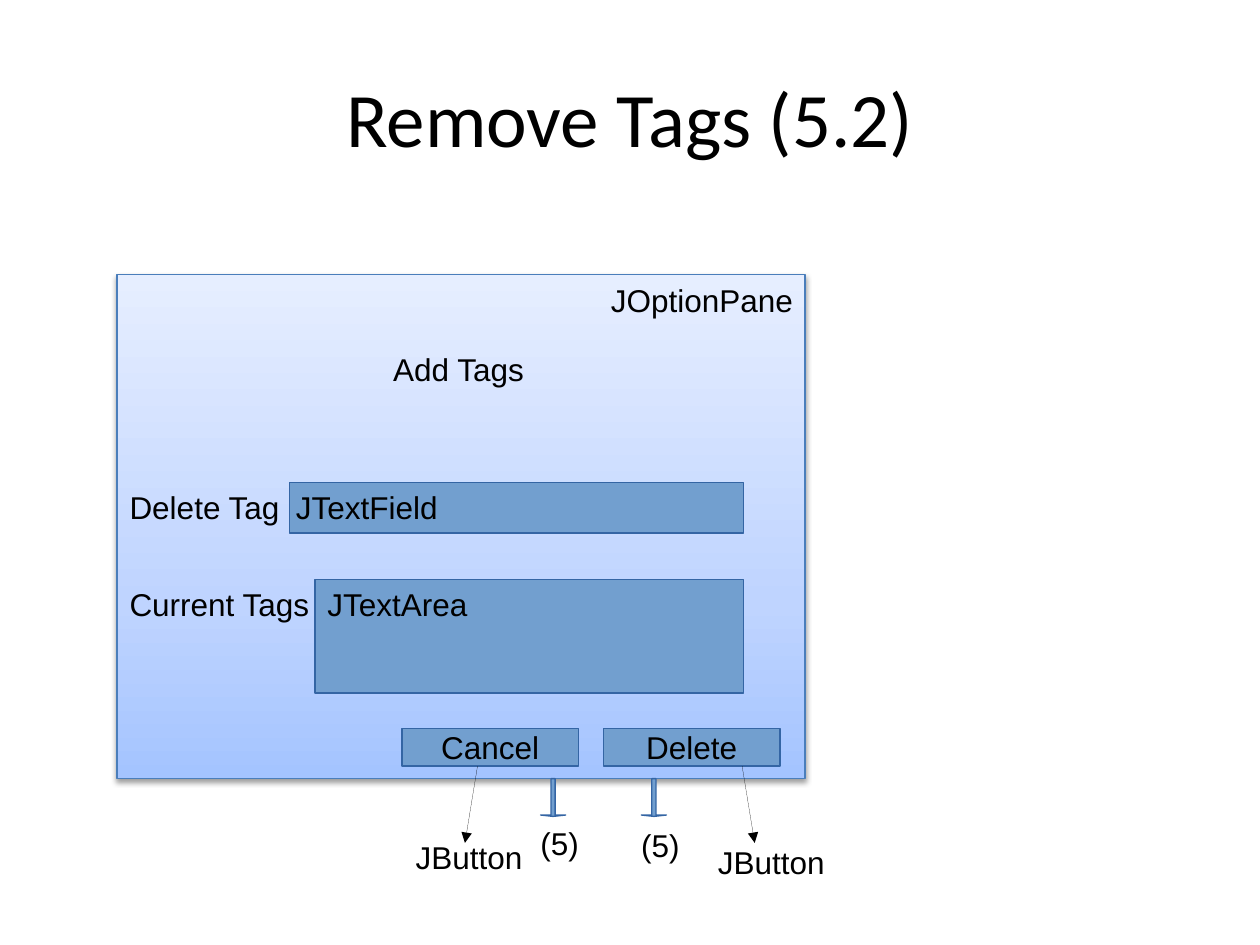
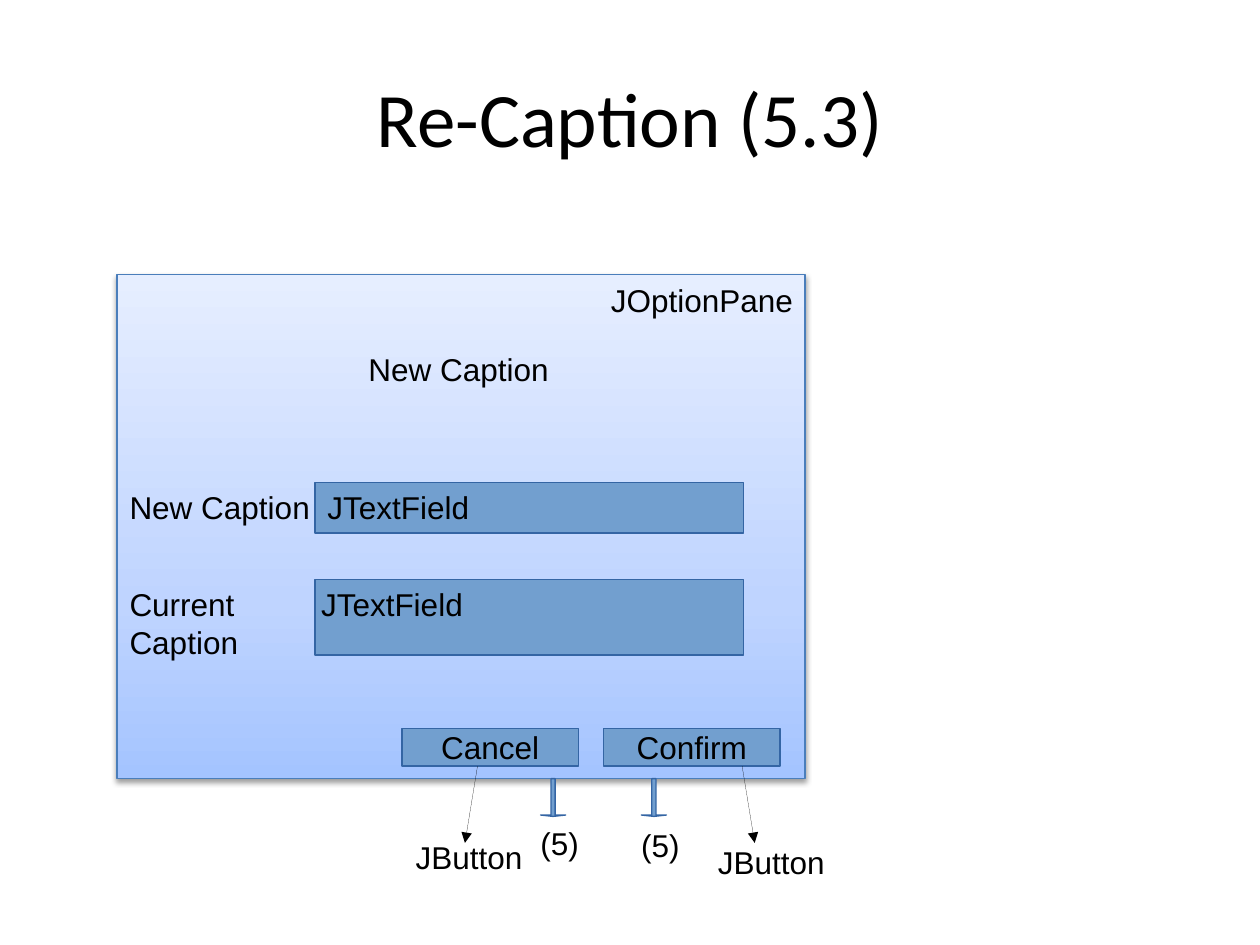
import copy

import pptx
import pptx.dml.color
import pptx.enum.shapes
import pptx.enum.text
import pptx.oxml
import pptx.oxml.ns
import pptx.util

COLORS = {
    "text": "000000",
    "control": "729FCF",
    "control_line": "3465A4",
    "pane_line": "4A7EBB",
    "pane_bottom": "A4C4FF",
    "pane_middle": "BFD4FF",
    "pane_top": "E6EEFF",
}
CELL = 0.1  # side of a grid cell in inches
TITLE_BOX = (0.5, 0.3, 9, 1.25)
PANE_BOX = (0.93, 2.18, 5.46, 4)
FIELD_RIGHT = 49.7  # column where both input fields end
SHAPES = pptx.enum.shapes.MSO_SHAPE
ANCHOR = pptx.enum.text.MSO_ANCHOR
ALIGN = pptx.enum.text.PP_ALIGN
qn = pptx.oxml.ns.qn
NS = pptx.oxml.ns.nsdecls("a")


def rgb(name):
    return pptx.dml.color.RGBColor.from_string(COLORS[name])


def inches(values):
    return [pptx.util.Inches(round(v, 3)) for v in values]


def on_grid(box, col, row, cols, rows):
    """Turn grid cells counted from the corner of box into lengths."""
    return inches((box[0] + col * CELL, box[1] + row * CELL,
                   cols * CELL, rows * CELL))


def write(sp, text, size=18, font="Arial", align=None):
    tf = sp.text_frame
    tf.text = text
    p = tf.paragraphs[0]
    p.alignment = align
    p.font.size = pptx.util.Pt(size)
    p.font.name = font
    p.font.color.rgb = rgb("text")
    return tf


def add_label(slide, box, cells, text, centred=False):
    sp = slide.shapes.add_textbox(*on_grid(box, *cells))
    tf = write(sp, text, align=ALIGN.CENTER if centred else None)
    tf.word_wrap = not centred
    if centred:
        tf.vertical_anchor = ANCHOR.MIDDLE


def add_control(slide, box, cells, text=None, kind=SHAPES.RECTANGLE):
    sp = slide.shapes.add_shape(kind, *on_grid(box, *cells))
    sp.shadow.inherit = False
    sp.fill.solid()
    sp.fill.fore_color.rgb = rgb("control")
    sp.line.color.rgb = rgb("control_line")
    sp.line.width = pptx.util.Pt(0.75)
    if text:
        tf = write(sp, text, align=ALIGN.CENTER)
        tf.word_wrap = False
        tf.vertical_anchor = ANCHOR.MIDDLE
    return sp


def add_pointer(slide, box, start, end):
    points = [box[i % 2] + v * CELL for i, v in enumerate(start + end)]
    line = slide.shapes.add_connector(
        pptx.enum.shapes.MSO_CONNECTOR.STRAIGHT, *inches(points))
    # Without the theme style the pointer is a hairline with no shadow
    line.element.remove(line.element.find(qn("p:style")))
    line.line.color.rgb = rgb("text")
    line.line.fill  # the outline now exists
    ln = line.element.spPr.find(qn("a:ln"))
    ln.append(pptx.oxml.parse_xml(f'<a:tailEnd {NS} type="triangle"/>'))
    line.element.spPr.append(pptx.oxml.parse_xml(f"<a:effectLst {NS}/>"))


def add_title(slide, box, text):
    sp = slide.shapes.title
    sp.left, sp.top, sp.width, sp.height = inches(box)
    tf = write(sp, text, 44, "Calibri", ALIGN.CENTER)
    tf.vertical_anchor = ANCHOR.MIDDLE
    tf.margin_left = tf.margin_right = tf.margin_top = tf.margin_bottom = 0


def add_pane(slide, box):
    sp = slide.shapes.add_shape(SHAPES.RECTANGLE, *inches(box))
    sp.line.color.rgb = rgb("pane_line")
    sp.line.width = pptx.util.Pt(0.75)

    # Gradient from bottom to top, with a third stop
    sp.fill.gradient()
    sp.fill.gradient_angle = 90
    stop_list = sp.element.spPr.find(qn("a:gradFill")).find(qn("a:gsLst"))
    stop_list.insert(1, copy.deepcopy(stop_list[0]))
    stops = (("pane_bottom", 0), ("pane_middle", 0.35), ("pane_top", 1))
    for stop, (name, position) in zip(sp.fill.gradient_stops, stops):
        stop.color.rgb = rgb(name)
        stop.position = position

    # Soft shadow below
    sp.shadow.inherit = False
    sp.element.spPr.find(qn("a:effectLst")).append(pptx.oxml.parse_xml(
        f'<a:outerShdw {NS} blurRad="40000" dist="20000" dir="5400000" '
        f'rotWithShape="0"><a:srgbClr val="{COLORS["text"]}">'
        '<a:alpha val="38000"/></a:srgbClr></a:outerShdw>'))


def add_field(slide, box, row, field):
    """One caption with the input field to its right."""
    left = field["col"]
    add_control(slide, box, (left, row, FIELD_RIGHT - left, field["rows"]))
    add_label(slide, box, (0, row - 0.05, 16.6, 6.6), field["caption"])
    add_label(slide, box, (field["text_col"], row - 0.1, 18, 3.8),
              field["kind"])


def add_buttons(slide, box, names):
    """Two buttons, the gaps below them and the notes on both."""
    for i, name in enumerate(names):
        add_control(slide, box, (22.6 + 16 * i, 36, 14, 3), name)
        arrow = add_control(slide, box, (33.6 + 8 * i, 40, 2, 3),
                            kind=SHAPES.DOWN_ARROW)
        arrow.adjustments[0] = 0.162
        arrow.adjustments[1] = 0.054
        add_label(slide, box, (32.6 + 8 * i, 43.1 + 0.2 * i, 7, 3.8), "(5)")
        add_label(slide, box, (22.7 + 24 * i, 44.2 + 0.4 * i, 14, 6.6),
                  "JButton")
        start = 28.6 + 21 * i
        add_pointer(slide, box, (start, 39), (start - 1 + 2 * i, 45.1))


def add_dialog_slide(prs, title, heading, fields, buttons):
    slide = prs.slides.add_slide(prs.slide_layouts[5])
    add_title(slide, TITLE_BOX, title)
    add_pane(slide, PANE_BOX)
    add_label(slide, PANE_BOX, (4.6, 5, 45, 5), heading, centred=True)
    add_label(slide, PANE_BOX, (38.2, 0, 17.4, 6.6), "JOptionPane")
    for row, field in zip((16.5, 24.2), fields):
        add_field(slide, PANE_BOX, row, field)
    add_buttons(slide, PANE_BOX, buttons)


prs = pptx.Presentation()
prs.slide_width, prs.slide_height = inches((10, 7.5))

add_dialog_slide(
    prs, "Remove Tags (5.2)", "Add Tags",
    [dict(caption="Delete Tag", kind="JTextField",
          col=13.7, text_col=13.2, rows=4),
     dict(caption="Current Tags", kind="JTextArea",
          col=15.7, text_col=15.7, rows=9)],
    ("Cancel", "Delete"))

add_dialog_slide(
    prs, "Re-Caption (5.3)", "New Caption",
    [dict(caption="New Caption", kind="JTextField",
          col=15.7, text_col=15.7, rows=4),
     dict(caption="Current Caption", kind="JTextField",
          col=15.7, text_col=15.2, rows=6)],
    ("Cancel", "Confirm"))

prs.save("out.pptx")
